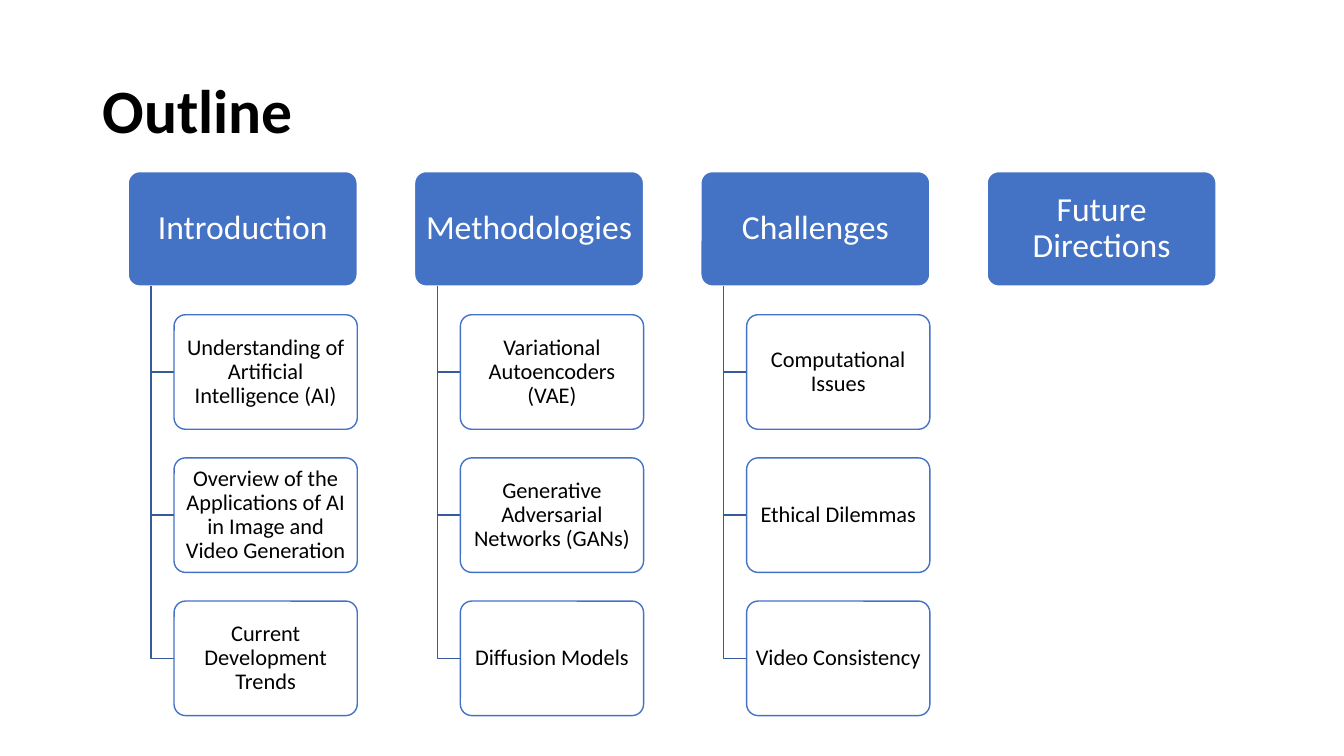
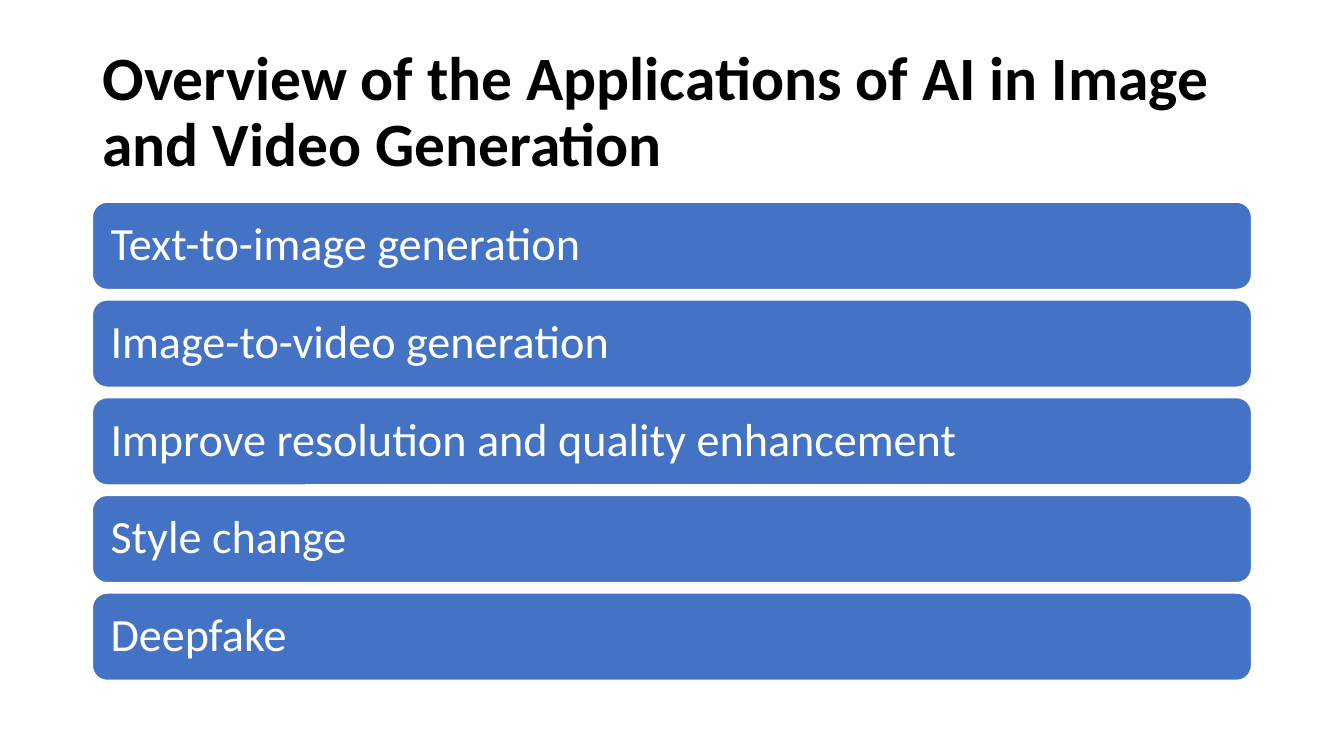
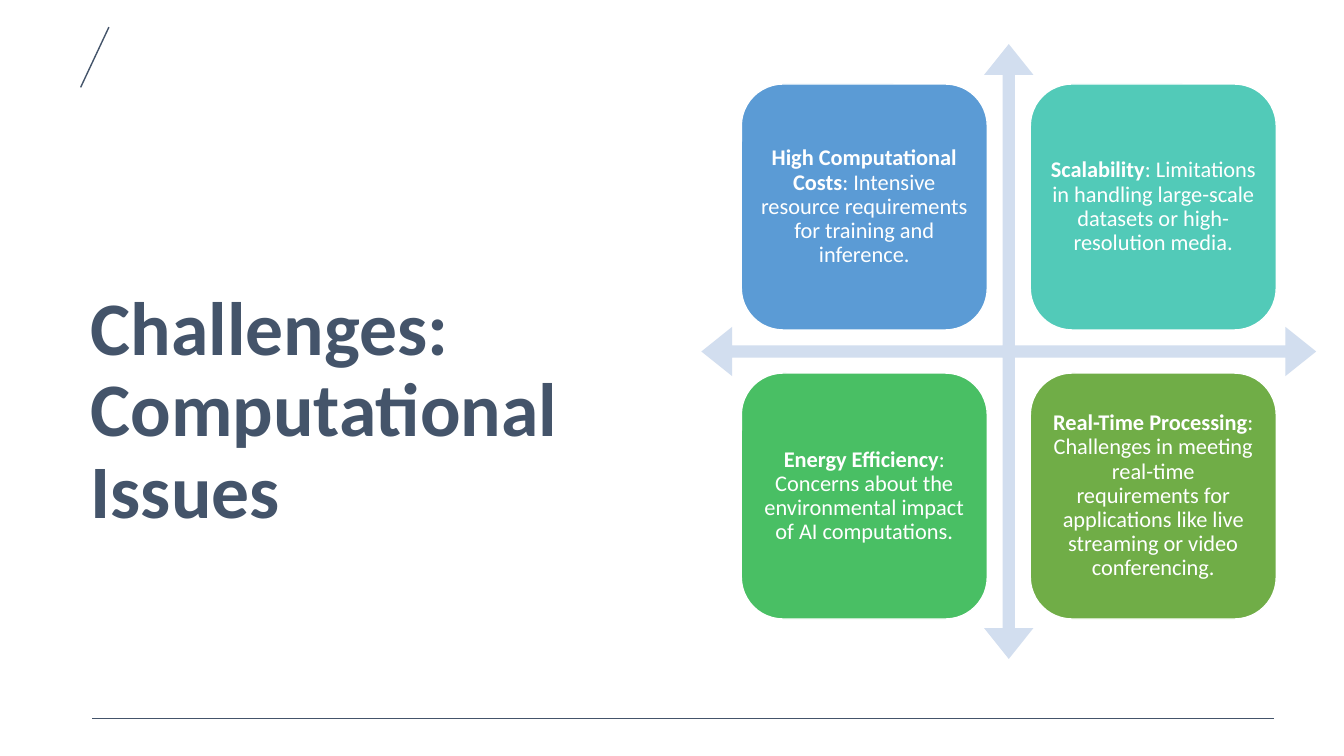
from dataclasses import dataclass

from lxml import etree
from pptx import Presentation
from pptx.dml.color import RGBColor
from pptx.enum.shapes import MSO_CONNECTOR, MSO_SHAPE
from pptx.enum.text import MSO_ANCHOR, MSO_AUTO_SIZE, PP_ALIGN
from pptx.oxml.ns import qn
from pptx.util import Pt

ROUNDED = MSO_SHAPE.ROUNDED_RECTANGLE
QUAD_ARROW = MSO_SHAPE.QUAD_ARROW
STRAIGHT = MSO_CONNECTOR.STRAIGHT
MIDDLE = MSO_ANCHOR.MIDDLE
LEFT, CENTER = PP_ALIGN.LEFT, PP_ALIGN.CENTER
NO_FIT = MSO_AUTO_SIZE.NONE
TITLE_ONLY = 5


@dataclass(frozen=True)
class Theme:
    font: str = "Calibri"
    black: str = "000000"
    white: str = "FFFFFF"
    blue: str = "4472C4"
    branch: str = "365B9D"
    slate: str = "44546A"
    arrows: str = "D2DEEF"
    quadrants: tuple = ("5B9BD5", "52CAB8", "49BF64", "70AD47")
    title_size: float = 44
    hero_size: float = 54
    band_size: float = 33
    topic_size: float = 24
    detail_size: float = 16
    line_width: float = 1
    line_spacing: float = 0.9


THEME = Theme()
TITLE_BOX = (66, 28.8, 828, 104.4)

OUTLINE = [
    ("Introduction", ["Understanding of Artificial Intelligence (AI)",
                      "Overview of the Applications of AI in Image and Video Generation",
                      "Current Development Trends"]),
    ("Methodologies", ["Variational Autoencoders (VAE)",
                       "Generative Adversarial Networks (GANs)",
                       "Diffusion Models"]),
    ("Challenges", ["Computational Issues", "Ethical Dilemmas", "Video Consistency"]),
    ("Future Directions", []),
]
APPLICATIONS = ["Text-to-image generation", "Image-to-video generation",
                "Improve resolution and quality enhancement", "Style change", "Deepfake"]
ISSUES = [
    ("High Computational Costs",
     ": Intensive resource requirements for training and inference."),
    ("Scalability",
     ": Limitations in handling large-scale datasets or high-resolution media."),
    ("Energy Efficiency",
     ": Concerns about the environmental impact of AI computations."),
    ("Real-Time Processing",
     ": Challenges in meeting real-time requirements for applications like live "
     "streaming or video conferencing."),
]


def points(*lengths):
    return [Pt(length) for length in lengths]


def rgb(color):
    return RGBColor.from_string(color)


def write(frame, text, lead="", size=THEME.detail_size, color=THEME.white,
          bold=False, align=CENTER, insets=(7.2, 3.6)):
    """Fill a frame with one paragraph; lead is a bold opening run."""
    frame.word_wrap = True
    frame.auto_size = NO_FIT
    frame.vertical_anchor = MIDDLE
    frame.margin_left = frame.margin_right = Pt(insets[0])
    frame.margin_top = frame.margin_bottom = Pt(insets[1])
    paragraph = frame.paragraphs[0]
    paragraph.alignment = align
    paragraph.line_spacing = THEME.line_spacing
    for words, heavy in ((lead, True), (text, bold)):
        if words:
            run = paragraph.add_run()
            run.text = words
            run.font.name = THEME.font
            run.font.size = Pt(size)
            run.font.bold = heavy
            run.font.color.rgb = rgb(color)


def set_line(line, color):
    line.color.rgb = rgb(color)
    line.width = Pt(THEME.line_width)


def add_card(slide, box, fill, line=THEME.white, rounding=0.17, **text_format):
    card = slide.shapes.add_shape(ROUNDED, *points(*box))
    card.adjustments[0] = rounding
    card.shadow.inherit = False
    card.fill.solid()
    card.fill.fore_color.rgb = rgb(fill)
    set_line(card.line, line)
    write(card.text_frame, **text_format)


def add_branch(slide, spine, top, end, middle):
    """Draw an elbow down the spine and across to a detail card."""
    builder = slide.shapes.build_freeform(*points(spine, top))
    builder.add_line_segments([points(spine, middle), points(end, middle)], close=False)
    branch = builder.convert_to_shape()
    branch.shadow.inherit = False
    branch.fill.background()
    set_line(branch.line, THEME.branch)


def add_rule(slide, *ends):
    rule = slide.shapes.add_connector(STRAIGHT, *points(*ends))
    set_line(rule.line, THEME.slate)
    etree.SubElement(rule._element.spPr, qn("a:effectLst"))


def new_slide(deck, title, box=TITLE_BOX, size=THEME.title_size, color=THEME.black):
    slide = deck.slides.add_slide(deck.slide_layouts[TITLE_ONLY])
    heading = slide.shapes.title
    heading.left, heading.top, heading.width, heading.height = points(*box)
    write(heading.text_frame, title, size=size, color=color, bold=True, align=LEFT)
    return slide


def topic_column(slide, left, top, width, topic, details):
    """One topic header with its details hanging below."""
    height = width / 2
    add_card(slide, (left, top, width, height), THEME.blue, rounding=0.1,
             text=topic, size=THEME.topic_size, insets=(3.6, 2.4))
    spine, detail_left = left + 0.1 * width, left + 0.2 * width
    for row, detail in enumerate(details, start=1):
        detail_top = top + row * 1.25 * height
        add_branch(slide, spine, top + height, detail_left, detail_top + height / 2)
        add_card(slide, (detail_left, detail_top, 0.8 * width, height), THEME.white,
                 line=THEME.blue, rounding=0.1, text=detail, color=THEME.black,
                 insets=(2.4, 1.6))


def outline_tree(slide, left, top, column_width):
    for column, (topic, details) in enumerate(OUTLINE):
        topic_column(slide, left + column * 1.25 * column_width, top, column_width,
                     topic, details)


def application_bands(slide, left, top, width, height, gap):
    for row, application in enumerate(APPLICATIONS):
        add_card(slide, (left, top + row * (height + gap), width, height), THEME.blue,
                 text=application, size=THEME.band_size, align=LEFT, insets=(9.9, 9.9))


def issue_matrix(slide, left, top, side):
    """Four issue cards around a four-way arrow."""
    cross = slide.shapes.add_shape(QUAD_ARROW, *points(left, top, side, side))
    for index, share in enumerate((0.02, 0.04, 0.05)):
        cross.adjustments[index] = share
    cross.shadow.inherit = False
    cross.fill.solid()
    cross.fill.fore_color.rgb = rgb(THEME.arrows)
    cross.line.fill.background()

    card_side = 0.4 * side
    offsets = (0.065 * side, 0.535 * side)
    for index, (issue, explanation) in enumerate(ISSUES):
        row, column = divmod(index, 2)
        box = (left + offsets[column], top + offsets[row], card_side, card_side)
        add_card(slide, box, THEME.quadrants[index], lead=issue, text=explanation,
                 insets=(4.8, 4.8))


def main():
    deck = Presentation()
    deck.slide_width, deck.slide_height = points(960, 540)

    # Outline
    outline = new_slide(deck, "Outline")
    outline_tree(outline, left=91.6, top=122.6, column_width=163.6)

    # Applications
    applications = new_slide(
        deck, "Overview of the Applications of AI in Image and Video Generation")
    application_bands(applications, left=66, top=144.4, width=828, height=62.4, gap=7.4)

    # Computational issues
    issues = new_slide(deck, "Challenges: Computational Issues", box=(57.6, 92, 384, 405),
                       size=THEME.hero_size, color=THEME.slate)
    add_rule(issues, 77.8, 19.4, 57.6, 62.4)
    add_rule(issues, 910, 513.4, 66, 513.4)
    issue_matrix(issues, left=501, top=31.5, side=439.2)

    deck.save("out.pptx")


if __name__ == "__main__":
    main()
